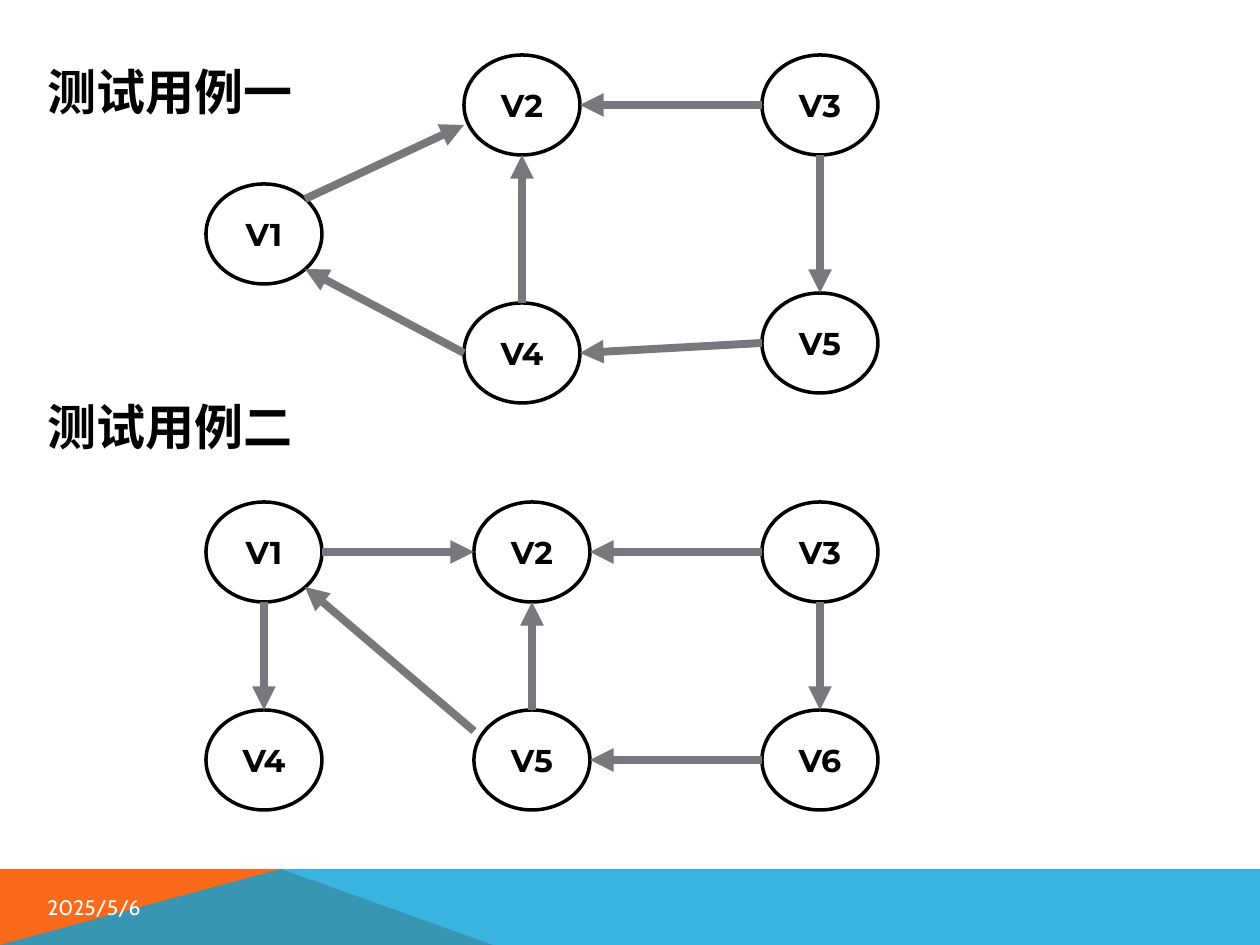
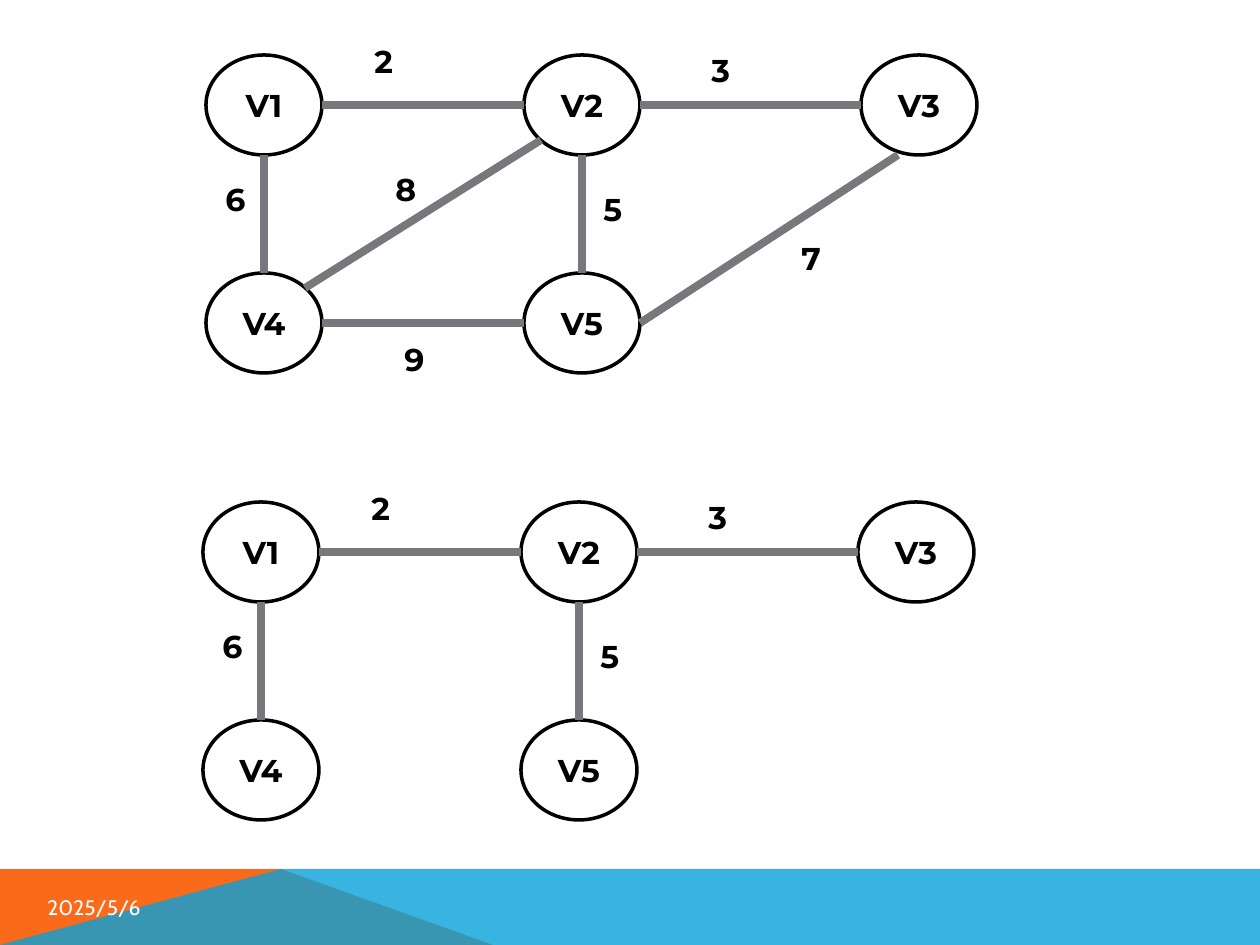
from dataclasses import dataclass

import lxml.etree
import pptx
import pptx.dml.color
import pptx.enum.shapes
import pptx.enum.text
import pptx.oxml.ns
import pptx.shapes.base
import pptx.slide
import pptx.text.text
import pptx.util

Color = pptx.dml.color.RGBColor
Spot = tuple[int, int]

SCALE = 914400 / 126
WIDE, HIGH = 1260, 945
BAND, PEAK, FOOT = 869, 281, 493
NODE_W, NODE_H = 116, 100
BLACK = Color(0x00, 0x00, 0x00)
WHITE = Color(0xFF, 0xFF, 0xFF)
GREY = Color(0x76, 0x78, 0x7B)
ORANGE = Color(0xF9, 0x6A, 0x1B)
BLUE = Color(0x08, 0xA1, 0xD9)
PLAIN, STRONG = "Cabin", "Montserrat"
PORTS: dict[str, Spot] = {
    "N": (0, -50), "S": (0, 50), "W": (-58, 0), "E": (58, 0),
    "NE": (41, -35), "SE": (41, 35), "SW": (-41, 35),
    "WSW": (-58, 20), "WNW": (-58, -29), "SSW": (-21, 50),
}


@dataclass(frozen=True)
class Edge:
    start: str
    out: str
    end: str
    into: str
    cost: str = ""
    spot: Spot = (0, 0)


@dataclass(frozen=True)
class Graph:
    nodes: dict[str, Spot]
    edges: list[Edge]
    arrow: bool = False
    shift: Spot = (0, 0)


FIRST = Graph(
    {"V1": (264, 234), "V2": (522, 105), "V3": (820, 105),
     "V4": (522, 353), "V5": (820, 343)},
    [Edge("V1", "NE", "V2", "WSW"), Edge("V3", "W", "V2", "E"),
     Edge("V4", "W", "V1", "SE"), Edge("V4", "N", "V2", "S"),
     Edge("V3", "S", "V5", "N"), Edge("V5", "W", "V4", "E")],
    arrow=True,
)
SECOND = Graph(
    {f"V{row * 3 + col + 1}": (x, y)
     for row, y in enumerate((552, 760))
     for col, x in enumerate((264, 532, 820))},
    [Edge("V1", "E", "V2", "W"), Edge("V3", "W", "V2", "E"),
     Edge("V5", "N", "V2", "S"), Edge("V3", "S", "V6", "N"),
     Edge("V6", "W", "V5", "E"), Edge("V5", "WNW", "V1", "SE"),
     Edge("V1", "S", "V4", "N")],
    arrow=True,
)
MESH = {"V1": (264, 105), "V2": (582, 105), "V3": (919, 105),
        "V4": (264, 323), "V5": (582, 323)}
TREE = [
    Edge("V1", "E", "V2", "W", "2", (362, 36)),
    Edge("V2", "E", "V3", "W", "3", (699, 45)),
    Edge("V1", "S", "V4", "N", "6", (213, 174)),
    Edge("V2", "S", "V5", "N", "5", (591, 184)),
]
EXTRA = [
    Edge("V4", "E", "V5", "W", "9", (392, 334)),
    Edge("V5", "E", "V3", "SSW", "7", (789, 233)),
    Edge("V4", "NE", "V2", "SW", "8", (383, 164)),
]


def px(*sizes: int) -> list[pptx.util.Emu]:
    return [pptx.util.Emu(round(size * SCALE)) for size in sizes]


def write(frame: pptx.text.text.TextFrame, text: str, size: int, face: str,
          color: Color = BLACK, bold: bool = True, mid: bool = False) -> None:
    frame.text = text
    frame.word_wrap = True
    anchor = pptx.enum.text.MSO_ANCHOR
    frame.vertical_anchor = anchor.MIDDLE if mid else anchor.TOP
    line = frame.paragraphs[0]
    line.alignment = pptx.enum.text.PP_ALIGN.LEFT
    line.font.name = face
    line.font.size = pptx.util.Pt(size)
    line.font.bold = bold
    line.font.color.rgb = color


def label(slide: pptx.slide.Slide, box: tuple[int, int, int, int], text: str,
          size: int, face: str, color: Color = BLACK, bold: bool = True,
          mid: bool = False) -> None:
    shape = slide.shapes.add_textbox(*px(*box))
    write(shape.text_frame, text, size, face, color, bold, mid)


def panel(slide: pptx.slide.Slide, spots: list[Spot],
          color: Color) -> pptx.shapes.base.BaseShape:
    pen = slide.shapes.build_freeform(*spots[0], scale=SCALE)
    pen.add_line_segments(spots[1:], close=True)
    shape = pen.convert_to_shape()
    shape.shadow.inherit = False
    shape.fill.solid()
    shape.fill.fore_color.rgb = color
    shape.line.fill.background()
    return shape


def footer(slide: pptx.slide.Slide) -> None:
    panel(slide, [(0, HIGH), (0, BAND), (PEAK, BAND), (FOOT, HIGH)], ORANGE)
    blue = panel(slide, [(0, HIGH), (PEAK, BAND), (WIDE, BAND), (WIDE, HIGH)],
                 BLUE)
    tone = blue.element.spPr.find(
        f"{pptx.oxml.ns.qn('a:solidFill')}/{pptx.oxml.ns.qn('a:srgbClr')}")
    lxml.etree.SubElement(tone, pptx.oxml.ns.qn("a:alpha"), val="80000")
    label(slide, (35, 889, 212, 37), "2025/5/6", 12, PLAIN, WHITE,
          bold=False, mid=True)


def node(slide: pptx.slide.Slide, name: str, x: int, y: int) -> None:
    shape = slide.shapes.add_shape(
        pptx.enum.shapes.MSO_SHAPE.OVAL,
        *px(x - NODE_W // 2, y - NODE_H // 2, NODE_W, NODE_H))
    shape.shadow.inherit = False
    shape.fill.solid()
    shape.fill.fore_color.rgb = WHITE
    shape.line.color.rgb = BLACK
    shape.line.width = pptx.util.Pt(2)
    write(shape.text_frame, name, 18, STRONG, mid=True)
    shape.text_frame.paragraphs[0].alignment = pptx.enum.text.PP_ALIGN.CENTER


def link(slide: pptx.slide.Slide, start: Spot, end: Spot, arrow: bool) -> None:
    line = slide.shapes.add_connector(
        pptx.enum.shapes.MSO_CONNECTOR.STRAIGHT, *px(*start, *end))
    line.line.color.rgb = GREY
    line.line.width = pptx.util.Pt(4.5)
    props = line.element.spPr
    if arrow:
        stroke = props.find(pptx.oxml.ns.qn("a:ln"))
        lxml.etree.SubElement(stroke, pptx.oxml.ns.qn("a:tailEnd"),
                              type="triangle")
    lxml.etree.SubElement(props, pptx.oxml.ns.qn("a:effectLst"))


def move(spot: Spot, step: Spot) -> Spot:
    return spot[0] + step[0], spot[1] + step[1]


def draw(slide: pptx.slide.Slide, graph: Graph) -> None:
    spots = {name: move(spot, graph.shift)
             for name, spot in graph.nodes.items()}
    for name, spot in spots.items():
        node(slide, name, *spot)
    for edge in graph.edges:
        link(slide, move(spots[edge.start], PORTS[edge.out]),
             move(spots[edge.end], PORTS[edge.into]), graph.arrow)
        if edge.cost:
            label(slide, (*move(edge.spot, graph.shift), 69, 50),
                  edge.cost, 18, STRONG)


def main() -> None:
    deck = pptx.Presentation()
    deck.slide_width, deck.slide_height = px(WIDE, HIGH)

    cases = deck.slides.add_slide(deck.slide_layouts[5])
    footer(cases)
    draw(cases, FIRST)
    draw(cases, SECOND)
    title = cases.shapes.title
    title.left, title.top, title.width, title.height = px(35, 55, 297, 72)
    write(title.text_frame, "测试用例一", 28, PLAIN)
    label(cases, (35, 390, 297, 72), "测试用例二", 28, PLAIN)

    costs = deck.slides.add_slide(deck.slide_layouts[6])
    footer(costs)
    draw(costs, Graph(MESH, TREE + EXTRA))
    draw(costs, Graph(MESH, TREE, shift=(-3, 447)))
    deck.save("out.pptx")


if __name__ == "__main__":
    main()
